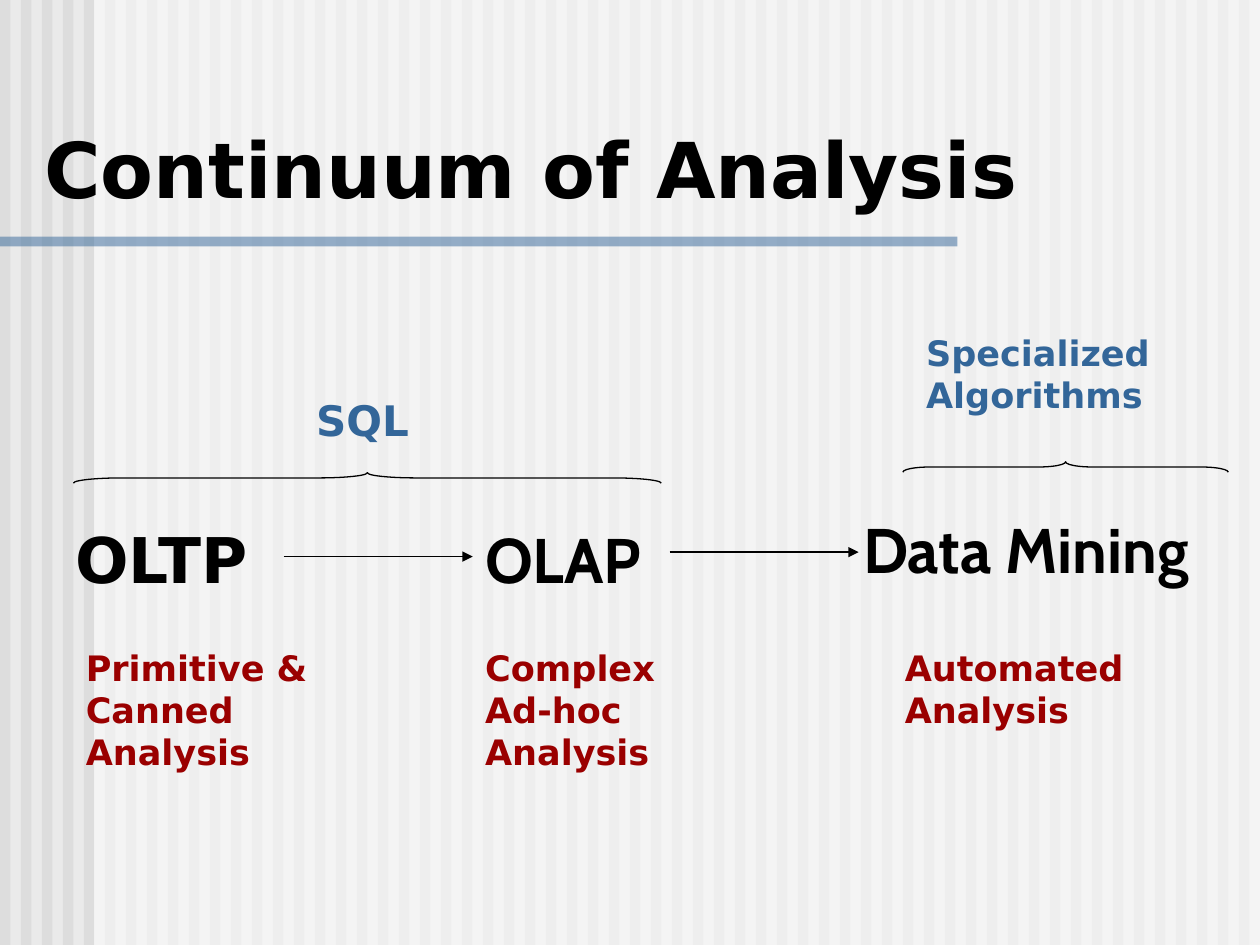
"""Build the slide on the continuum of analysis."""
from dataclasses import dataclass

import pptx
import pptx.dml.color
import pptx.enum.shapes
import pptx.enum.text
import pptx.oxml.ns
import pptx.oxml.xmlchemy
import pptx.util

Cm = pptx.util.Cm
Pt = pptx.util.Pt
SHAPES = pptx.enum.shapes.MSO_SHAPE
ANCHOR = pptx.enum.text.MSO_ANCHOR
ALIGN = pptx.enum.text.PP_ALIGN
PAGE_WIDTH, PAGE_HEIGHT = 25.4, 19.05


@dataclass(frozen=True)
class Theme:
    """Hold the colours, fonts and type sizes of the slide."""
    page: str = "EAEAEA"
    stripe: str = "DDDDDD"
    veil: str = "FFFFFF"
    ink: str = "000000"
    accent: str = "336699"
    detail: str = "9A0000"
    sans: str = "DejaVu Sans"
    display: str = "Cabin"
    title_size: int = 44
    stage_size: int = 36
    method_size: int = 24
    detail_size: int = 20
    line_width: float = 0.75


THEME = Theme()


def rgb(colour):
    """Turn a hex string into a colour."""
    return pptx.dml.color.RGBColor.from_string(colour)


def write(shape, text, size, colour, font=THEME.sans, align=ALIGN.LEFT, anchor=ANCHOR.TOP, top=0.13):
    """Fill a shape with one bold paragraph."""
    frame = shape.text_frame
    frame.text = text
    frame.word_wrap = True
    frame.auto_size = pptx.enum.text.MSO_AUTO_SIZE.NONE
    frame.vertical_anchor = anchor
    frame.margin_left = frame.margin_right = Cm(0.25)
    frame.margin_top, frame.margin_bottom = Cm(top), Cm(0.13)
    para = frame.paragraphs[0]
    para.alignment = align
    para.font.name = font
    para.font.size = Pt(size)
    para.font.bold = True
    para.font.color.rgb = rgb(colour)


def add_text(page, place, *content, **style):
    """Add a text box at left, top, width, height."""
    write(page.shapes.add_textbox(*map(Cm, place)), *content, **style)


def add_band(shapes, place, colour, opacity=100):
    """Add a plain rectangle without outline."""
    band = shapes.add_shape(SHAPES.RECTANGLE, *map(Cm, place))
    band.shadow.inherit = False
    band.fill.solid()
    band.fill.fore_color.rgb = rgb(colour)
    band.line.fill.background()
    if opacity < 100:
        tint = band._element.spPr.find(".//" + pptx.oxml.ns.qn("a:srgbClr"))
        alpha = pptx.oxml.xmlchemy.OxmlElement("a:alpha")
        alpha.set("val", str(opacity * 1000))
        tint.append(alpha)


def add_backdrop(page):
    """Draw the stripes, the pale veil over them and the title rule."""
    page.background.fill.solid()
    page.background.fill.fore_color.rgb = rgb(THEME.page)
    group = page.shapes.add_group_shape()
    pitch = PAGE_WIDTH / 60
    for index in range(60):
        add_band(group.shapes, (index * pitch, 0, pitch / 2, PAGE_HEIGHT), THEME.stripe)
    add_band(group.shapes, (1.9, 0, PAGE_WIDTH - 1.9, PAGE_HEIGHT), THEME.veil, 50)
    add_band(page.shapes, (0, 4.77, 19.3, 0.2), THEME.accent, 50)


def add_title(page, text):
    """Place the title in front of the backdrop."""
    title = page.shapes.title
    page.shapes._spTree.append(title._element)
    title.left, title.top, title.width, title.height = map(Cm, (0.64, 2.33, 23.3, 2.12))
    write(title, text, THEME.title_size, THEME.ink, anchor=ANCHOR.BOTTOM)


def add_arrow(page, left, top, length):
    """Add a horizontal arrow pointing right."""
    arrow = page.shapes.add_connector(
        pptx.enum.shapes.MSO_CONNECTOR.STRAIGHT, Cm(left), Cm(top), Cm(left + length), Cm(top))
    arrow.line.color.rgb = rgb(THEME.ink)
    arrow.line.width = Pt(THEME.line_width)
    head = pptx.oxml.xmlchemy.OxmlElement("a:tailEnd")
    head.set("type", "triangle")
    arrow._element.spPr.find(pptx.oxml.ns.qn("a:ln")).append(head)
    arrow._element.spPr.append(pptx.oxml.xmlchemy.OxmlElement("a:effectLst"))


def add_brace(page, left, top, length, depth=0.21):
    """Add a brace lying flat with its point upwards."""
    brace = page.shapes.add_shape(
        SHAPES.LEFT_BRACE, Cm(left + (length - depth) / 2), Cm(top - (length - depth) / 2),
        Cm(depth), Cm(length))
    brace.rotation = 90
    brace.adjustments[0] = length / 12 / depth
    brace.shadow.inherit = False
    brace.fill.background()
    brace.line.color.rgb = rgb(THEME.ink)
    brace.line.width = Pt(THEME.line_width)


def main():
    """Build and save the deck."""
    deck = pptx.Presentation()
    deck.slide_width, deck.slide_height = Cm(PAGE_WIDTH), Cm(PAGE_HEIGHT)
    page = deck.slides.add_slide(deck.slide_layouts[5])
    add_backdrop(page)
    add_title(page, "Continuum of Analysis")

    stages = (
        ("OLTP", (1.27, 9.1, 4.45, 3), THEME.sans),
        ("OLAP", (9.53, 9.1, 4.45, 3), THEME.display),
        ("Data Mining", (17.15, 8.89, 8.25, 3), THEME.display),
    )
    for name, place, font in stages:
        add_text(page, place, name, THEME.stage_size, THEME.ink, font=font, top=1.4)
    for left, top in ((5.72, 11.22), (13.5, 11.13)):
        add_arrow(page, left, top, 3.81)

    details = (
        ("Primitive & Canned Analysis", (1.48, 12.91, 5.93, 2.8)),
        ("Complex Ad-hoc Analysis", (9.53, 12.91, 4.45, 2.8)),
        ("Automated Analysis", (17.99, 12.91, 5.5, 1.96)),
    )
    for text, place in details:
        add_text(page, place, text, THEME.detail_size, THEME.detail)

    add_brace(page, 1.48, 9.53, 11.85)
    add_text(page, (4.45, 7.83, 5.72, 1.27), "SQL", THEME.method_size, THEME.accent, align=ALIGN.CENTER)
    add_brace(page, 18.2, 9.31, 6.56)
    add_text(page, (18.42, 6.56, 5.5, 1.96), "Specialized Algorithms", THEME.detail_size, THEME.accent)
    deck.save("out.pptx")


main()
